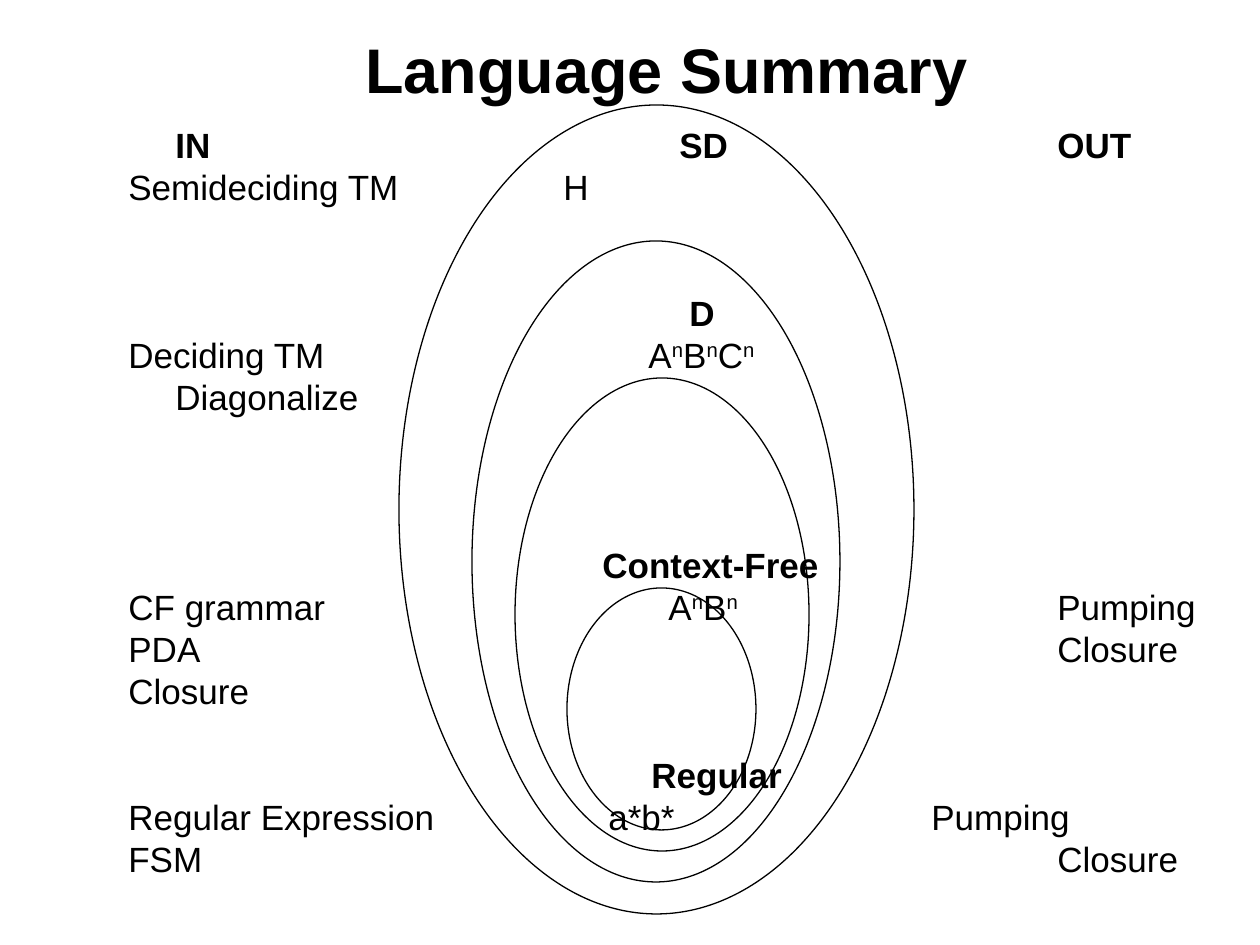
from lxml import etree
from pptx import Presentation
from pptx import util as u
from pptx.dml.color import RGBColor
from pptx.enum import shapes, text
from pptx.oxml.ns import qn

PX = 914400 / 126
LINE_POINTS = 24
TEXT_LEFT = 128

# Each row: blank lines above, bold, cells of (x, text); ^n^ marks a superscript
ROWS = [
    (0, True, [(175, "IN"), (679, "SD"), (1057, "OUT")]),
    (0, False, [(128, "Semideciding TM"), (563, "H")]),
    (2, True, [(689, "D")]),
    (0, False, [(128, "Deciding TM"), (648, "A^n^B^n^C^n")]),
    (0, False, [(175, "Diagonalize")]),
    (3, True, [(602, "Context-Free")]),
    (0, False, [(128, "CF grammar"), (668, "A^n^B^n"), (1057, "Pumping")]),
    (0, False, [(128, "PDA"), (1057, "Closure")]),
    (0, False, [(128, "Closure")]),
    (1, True, [(651, "Regular")]),
    (0, False, [(128, "Regular Expression"), (608, "a*b*"), (931, "Pumping")]),
    (0, False, [(128, "FSM"), (1057, "Closure")]),
]

# Language classes from the outermost to the innermost: left, top, width, height
CLASSES = [
    (399, 105, 515, 809),
    (472, 241, 368, 641),
    (515, 378, 294, 473),
    (567, 588, 189, 242),
]


def px(length):
    return u.Emu(round(length * PX))


def color(hex_string):
    return RGBColor.from_string(hex_string)


def apply(target, values):
    for name, value in values.items():
        setattr(target, name, value)


class SlideBuilder:
    ink = "000000"
    font = "Arial"

    def __init__(self, presentation):
        self.slide = presentation.slides.add_slide(presentation.slide_layouts[5])

    def run(self, paragraph, content, size, bold, raised=False):
        run = paragraph.add_run()
        run.text = content
        apply(run.font, {"name": self.font, "size": u.Pt(size), "bold": bold})
        run.font.color.rgb = color(self.ink)
        if raised:
            run.font._element.set("baseline", "30000")

    def title(self, content, left, top, width, height):
        shape = self.slide.shapes.title
        apply(shape, {"left": px(left), "top": px(top),
                      "width": px(width), "height": px(height)})
        apply(shape.text_frame, {"word_wrap": True,
                                 "auto_size": text.MSO_AUTO_SIZE.NONE,
                                 "vertical_anchor": text.MSO_ANCHOR.MIDDLE})
        paragraph = shape.text_frame.paragraphs[0]
        paragraph.alignment = text.PP_ALIGN.CENTER
        self.run(paragraph, content, 36, True)

    def tab_stops(self, paragraph, positions):
        tab_list = etree.SubElement(paragraph._p.get_or_add_pPr(), qn("a:tabLst"))
        for position in positions:
            etree.SubElement(tab_list, qn("a:tab"),
                             pos=str(px(position - TEXT_LEFT)), algn="l")

    def rows(self, rows, left, top, width, height):
        shape = self.slide.shapes.add_textbox(px(left), px(top), px(width), px(height))
        frame = shape.text_frame
        frame.word_wrap = True
        for index, (gap, bold, cells) in enumerate(rows):
            paragraph = frame.add_paragraph() if index else frame.paragraphs[0]
            apply(paragraph, {"line_spacing": u.Pt(LINE_POINTS),
                              "space_before": u.Pt(gap * LINE_POINTS)})
            self.tab_stops(paragraph, [x for x, _ in cells if x > TEXT_LEFT])
            for x, content in cells:
                if x > TEXT_LEFT:
                    content = "\t" + content
                for part, piece in enumerate(content.split("^")):
                    if piece:
                        self.run(paragraph, piece, 20, bold, raised=part % 2 == 1)

    def ellipse(self, left, top, width, height):
        shape = self.slide.shapes.add_shape(
            shapes.MSO_SHAPE.OVAL, px(left), px(top), px(width), px(height))
        shape.shadow.inherit = False
        shape.fill.background()
        shape.line.color.rgb = color(self.ink)
        shape.line.width = u.Pt(0.75)


def main():
    presentation = Presentation()
    apply(presentation, {"slide_width": px(1260), "slide_height": px(945)})
    builder = SlideBuilder(presentation)

    # Heading and the three-column summary
    builder.title("Language Summary", 73, 10, 1187, 116)
    builder.rows(ROWS, 116, 117, 1113, 770)

    # Nested language classes
    for box in CLASSES:
        builder.ellipse(*box)

    presentation.save("out.pptx")


if __name__ == "__main__":
    main()
